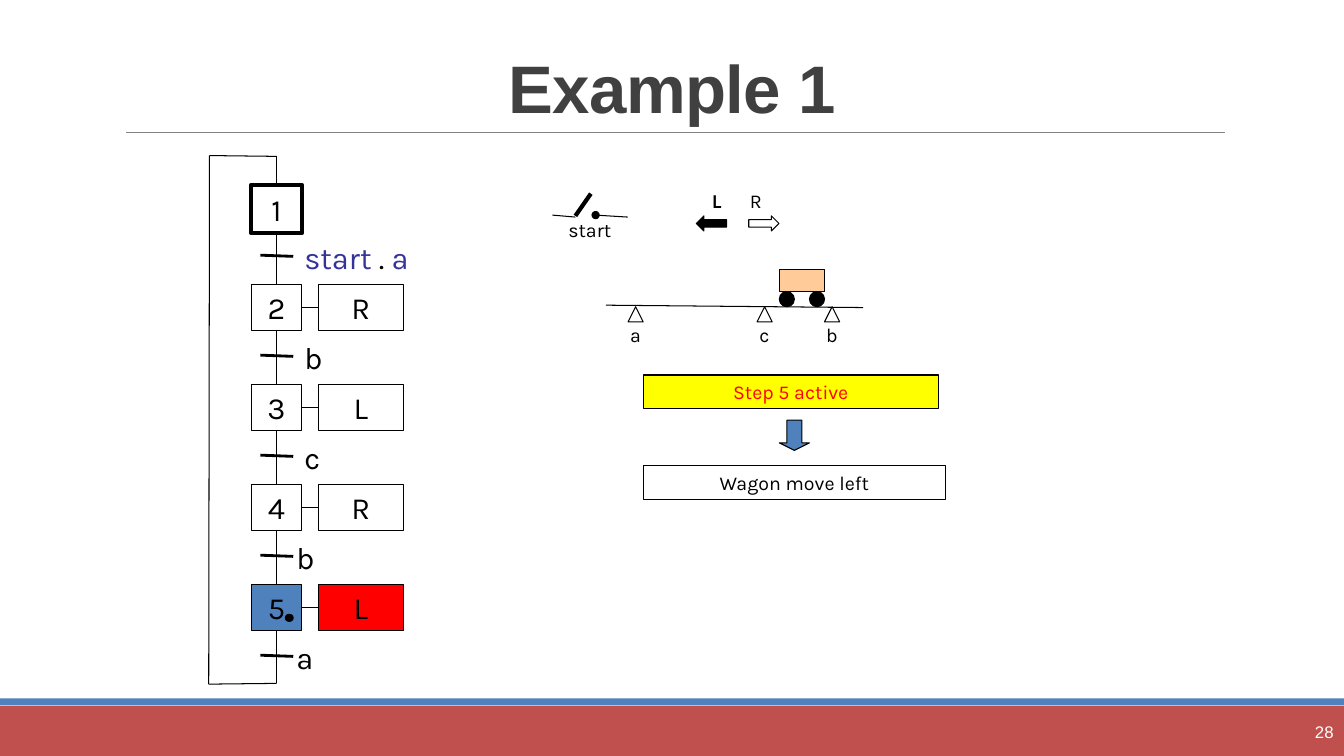
import pptx
import pptx.util
import pptx.dml.color
import pptx.enum.shapes
import pptx.enum.text
import pptx.oxml.xmlchemy

Cm, Pt = pptx.util.Cm, pptx.util.Pt
RGBColor = pptx.dml.color.RGBColor
SHAPE = pptx.enum.shapes.MSO_SHAPE
ANCHOR = pptx.enum.text.MSO_ANCHOR
ALIGN = pptx.enum.text.PP_ALIGN

BLACK = RGBColor(0x00, 0x00, 0x00)
WHITE = RGBColor(0xFF, 0xFF, 0xFF)
BLUE = RGBColor(0x4F, 0x81, 0xBD)
BRICK = RGBColor(0xC0, 0x50, 0x4D)
RED = RGBColor(0xFF, 0x00, 0x00)
YELLOW = RGBColor(0xFF, 0xFF, 0x00)
PEACH = RGBColor(0xFF, 0xCC, 0x99)
INDIGO = RGBColor(0x33, 0x33, 0x99)
GREY = RGBColor(0x80, 0x80, 0x80)
CHARCOAL = RGBColor(0x40, 0x40, 0x40)


def write(shape, runs, size, align=ALIGN.CENTER, font="Karla", bold=False):
    """Fill a shape with one paragraph of (text, colour) runs."""
    frame = shape.text_frame
    frame.word_wrap = True
    frame.margin_left = frame.margin_right = frame.margin_top = frame.margin_bottom = 0
    frame.vertical_anchor = ANCHOR.MIDDLE
    paragraph = frame.paragraphs[0]
    paragraph.alignment = align
    paragraph.line_spacing = Pt(26.1 if size == 22 else 17.1)
    for text, color in runs:
        run = paragraph.add_run()
        run.text = text
        run.font.name, run.font.size = font, Pt(size)
        run.font.bold, run.font.color.rgb = bold, color


def add_label(slide, left, top, width, height, runs, size=14, **style):
    """Add a text box given in centimetres."""
    label = slide.shapes.add_textbox(Cm(left), Cm(top), Cm(width), Cm(height))
    write(label, runs, size, **style)


def add_block(slide, kind, left, top, width, height, fill=None, line=BLACK, weight=0.75):
    """Add a flat preset shape given in centimetres."""
    block = slide.shapes.add_shape(kind, Cm(left), Cm(top), Cm(width), Cm(height))
    block.shadow.inherit = False
    if fill is None:
        block.fill.background()
    else:
        block.fill.solid()
        block.fill.fore_color.rgb = fill
    if line is None:
        block.line.fill.background()
    else:
        block.line.color.rgb = line
        block.line.width = Pt(weight)
    return block


def add_wire(slide, x1, y1, x2, y2, weight=0.75, color=BLACK):
    """Add a straight connector without shadow, given in centimetres."""
    wire = slide.shapes.add_connector(
        pptx.enum.shapes.MSO_CONNECTOR.STRAIGHT, Cm(x1), Cm(y1), Cm(x2), Cm(y2))
    wire.line.color.rgb = color
    wire.line.width = Pt(weight)
    wire._element.spPr.append(pptx.oxml.xmlchemy.OxmlElement("a:effectLst"))
    return wire


def draw_frame(slide, width, height):
    """Place the title, its rule, the footer bands and the page number."""
    title = slide.shapes.title
    title.left, title.top, title.width, title.height = Cm(2.97), Cm(0.43), Cm(27.94), Cm(2.9)
    title.text_frame.text = "Example 1"
    title.text_frame.auto_size = pptx.enum.text.MSO_AUTO_SIZE.NONE
    title.text_frame.vertical_anchor = ANCHOR.BOTTOM
    paragraph = title.text_frame.paragraphs[0]
    paragraph.alignment = ALIGN.CENTER
    paragraph.line_spacing = 0.85
    font = paragraph.runs[0].font
    font.name, font.size, font.bold = "Arial", Pt(48), True
    font.color.rgb = CHARCOAL
    paragraph.runs[0]._r.get_or_add_rPr().set("spc", "-50")
    add_wire(slide, 3.18, 3.33, 30.86, 3.33, 0.5, GREY)
    add_block(slide, SHAPE.RECTANGLE, 0, height - 1.27, width, 1.27, BRICK, None)
    add_block(slide, SHAPE.RECTANGLE, 0, height - 1.45, width, 0.17, BLUE, None)
    add_label(slide, width - 3.64, height - 1.17, 3.38, 1.02, [("28", WHITE)], 12,
              align=ALIGN.RIGHT, font="Arial")


def draw_sequence(slide, left, top, width, height):
    """Draw the chain of steps, transitions and actions with its return loop."""
    pitch, step_width, action_left = 2.52, 1.28, 2.77
    axis = left + 1.71
    bottom = top + height
    stages = [
        ([("start ", INDIGO), (". ", BLACK), ("a", INDIGO)], 2.41, None),
        ([("b", BLACK)], 2.41, "R"),
        ([("c", BLACK)], 2.41, "L"),
        ([("b", BLACK)], 2.21, "R"),
        ([("a", BLACK)], 2.21, "L"),
    ]
    trunk = add_wire(slide, axis, top, axis, top + 0.74)
    for index, (condition, indent, action) in enumerate(stages):
        step_top = top + 0.74 + index * pitch
        initial, active = index == 0, index == len(stages) - 1
        step = add_block(slide, SHAPE.RECTANGLE, axis - step_width / 2, step_top, step_width,
                         1.22 if initial else 1.14, BLUE if active else None,
                         weight=3 if initial else 0.75)
        write(step, [(str(index + 1), BLACK)], 22)
        trunk.end_connect(step, 0)
        trunk = add_wire(slide, axis, step_top, axis, bottom)
        trunk.begin_connect(step, 2)
        add_wire(slide, axis - 0.41, step_top + 1.77, axis + 0.42, step_top + 1.8, 2)
        add_label(slide, left + indent, step_top + 1.37, 2.79, 0.91, condition, 22,
                  align=ALIGN.LEFT)
        if action:
            order = add_block(slide, SHAPE.RECTANGLE, left + action_left, step_top,
                              width - action_left, 1.14, RED if active else None)
            write(order, [(action, BLACK)], 22)
            link = add_wire(slide, axis, step_top, left + action_left, step_top)
            link.begin_connect(step, 3)
            link.end_connect(order, 1)
        if active:
            add_block(slide, SHAPE.OVAL, left + 1.93, step_top + 0.74, 0.2, 0.18, BLACK)
    add_wire(slide, axis, bottom, left, bottom + 0.02)
    add_wire(slide, left, bottom + 0.02, left + 0.02, top)
    add_wire(slide, left + 0.02, top, axis, top + 0.02)


def draw_controls(slide, left, top):
    """Draw the start switch and the two direction arrows."""
    add_wire(slide, left, top + 0.64, left + 0.58, top + 0.69)
    add_wire(slide, left + 0.58, top + 0.66, left + 0.97, top + 0.1, 3)
    contact = add_wire(slide, left + 1.09, top + 0.64, left + 1.9, top + 0.69)
    dot = pptx.oxml.xmlchemy.OxmlElement("a:headEnd")
    dot.set("type", "oval")
    contact._element.spPr.get_or_add_ln().append(dot)
    add_label(slide, left + 0.08, top + 0.69, 1.73, 0.61, [("start", BLACK)])
    directions = [("L", 3.64, SHAPE.LEFT_ARROW, 3.63, BLACK),
                  ("R", 4.63, SHAPE.RIGHT_ARROW, 4.95, None)]
    for name, name_left, arrow, arrow_left, fill in directions:
        add_label(slide, left + name_left, top, 1, 0.56, [(name, BLACK)], bold=name == "L")
        add_block(slide, arrow, left + arrow_left, top + 0.66, 0.76, 0.38, fill)


def draw_track(slide, left, top):
    """Draw the wagon on its rail above the three position sensors."""
    wagon_left, wheel = left + 4.37, 0.38
    add_wire(slide, left, top + 0.91, left + 6.48, top + 0.97)
    add_block(slide, SHAPE.RECTANGLE, wagon_left, top, 1.14, 0.57, PEACH)
    for offset in (0, 2 * wheel):
        add_block(slide, SHAPE.OVAL, wagon_left + offset, top + 0.57, wheel, wheel, BLACK)
    for sensor, offset in (("a", 0.56), ("c", 3.81), ("b", 5.51)):
        add_block(slide, SHAPE.ISOSCELES_TRIANGLE, left + offset, top + 0.95, 0.38, 0.38)
        add_label(slide, left + offset - 0.3, top + 1.35, 0.97, 0.61, [(sensor, BLACK)])


def draw_message(slide, left, top):
    """Draw the active step, the arrow and the resulting movement."""
    state = add_block(slide, SHAPE.RECTANGLE, left, top, 7.44, 0.84, YELLOW)
    write(state, [("Step 5 active", RED)], 14)
    arrow = add_block(slide, SHAPE.DOWN_ARROW, left + 3.43, top + 1.14, 0.76, 0.76, BLUE)
    arrow.adjustments[1] = 0.25
    movement = add_block(slide, SHAPE.RECTANGLE, left, top + 2.29, 7.62, 0.86)
    write(movement, [("Wagon move left", BLACK)], 14)


def main():
    """Build the slide and save it."""
    deck = pptx.Presentation()
    width, height = 33.87, 19.05
    deck.slide_width, deck.slide_height = Cm(width), Cm(height)
    slide = deck.slides.add_slide(deck.slide_layouts[5])
    draw_frame(slide, width, height)
    draw_sequence(slide, 5.26, 3.92, 4.9, 13.3)
    draw_controls(slide, 13.92, 4.78)
    draw_track(slide, 15.27, 6.78)
    draw_message(slide, 16.21, 9.45)
    deck.save("out.pptx")


if __name__ == "__main__":
    main()
